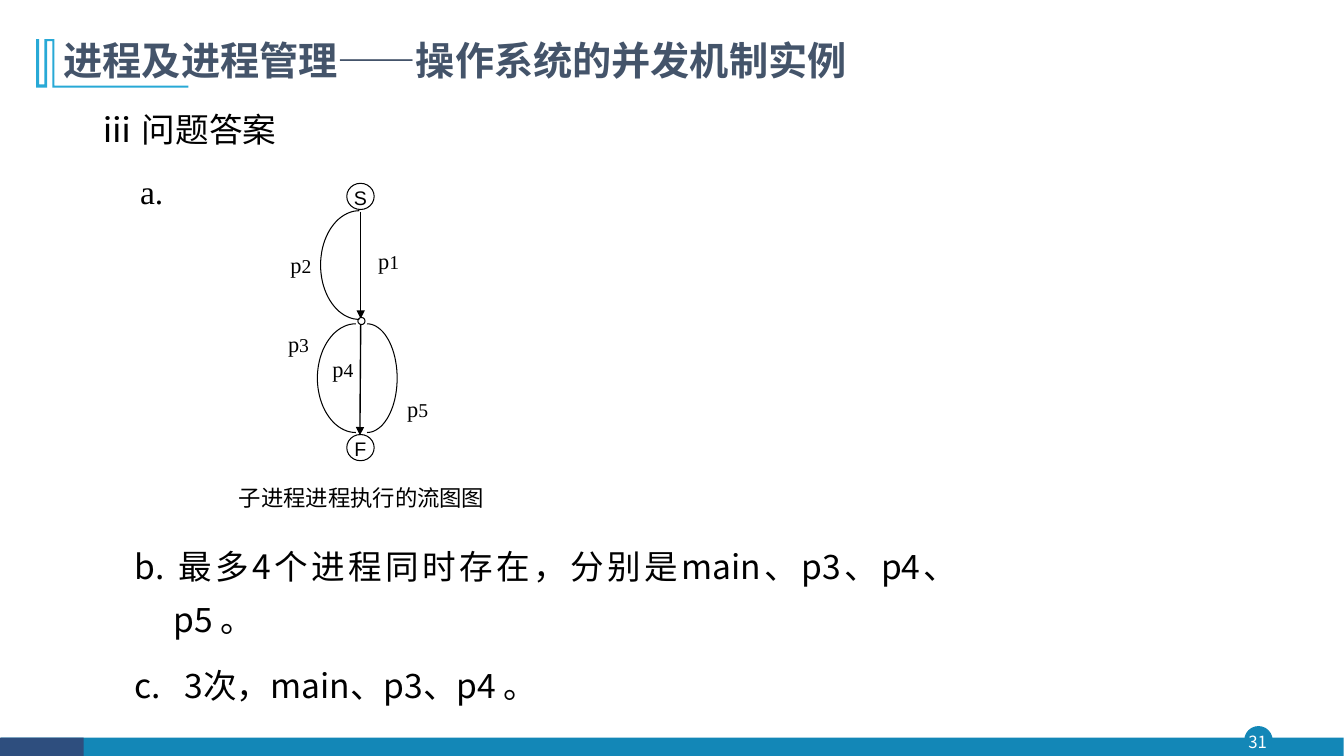
import math
from dataclasses import dataclass

from lxml import etree
from pptx import Presentation
from pptx.dml.color import RGBColor
from pptx.enum.shapes import MSO_CONNECTOR, MSO_SHAPE
from pptx.enum.text import MSO_ANCHOR, MSO_AUTO_SIZE, PP_ALIGN
from pptx.oxml.ns import qn
from pptx.util import Cm, Pt

OVAL, RECT = MSO_SHAPE.OVAL, MSO_SHAPE.RECTANGLE
STRAIGHT = MSO_CONNECTOR.STRAIGHT
TOP, MIDDLE = MSO_ANCHOR.TOP, MSO_ANCHOR.MIDDLE
LEFT, CENTER, JUSTIFY = PP_ALIGN.LEFT, PP_ALIGN.CENTER, PP_ALIGN.JUSTIFY
NO_FIT, GROW = MSO_AUTO_SIZE.NONE, MSO_AUTO_SIZE.SHAPE_TO_FIT_TEXT


@dataclass(frozen=True)
class Theme:
    sans: str = "Noto Sans CJK SC"
    serif: str = "Times New Roman"
    node_font: str = "Arial"
    title_ink: str = "44546A"
    ink: str = "000000"
    paper: str = "FFFFFF"
    bar: str = "1387B7"
    bar_end: str = "2E4E7E"
    bracket: str = "28A9D6"
    title_size: int = 28
    body_size: int = 24
    label_size: int = 16
    small_size: int = 14
    page_size: int = 12


THEME = Theme()


def box(*lengths):
    return [Cm(length) for length in lengths]


def apply_format(target, values):
    for name, value in values.items():
        setattr(target, name, value)


def add_run(paragraph, text, size, font, color=THEME.ink, bold=False):
    run = paragraph.add_run()
    run.text = text
    apply_format(run.font, {"size": Pt(size), "name": font, "bold": bold})
    run.font.color.rgb = RGBColor.from_string(color)
    east_asian = etree.SubElement(run._r.get_or_add_rPr(), qn("a:ea"))
    east_asian.set("typeface", THEME.sans)


def set_indent(paragraph, hanging):
    properties = paragraph._p.get_or_add_pPr()
    properties.set("marL", str(Cm(hanging)))
    properties.set("indent", str(-Cm(hanging)))


def remove_insets(frame):
    sides = ("margin_left", "margin_top", "margin_right", "margin_bottom")
    apply_format(frame, dict.fromkeys(sides, 0))


def add_text(slide, place, paragraphs, fit=GROW):
    """Each paragraph is (runs, hanging indent, paragraph formats)."""
    frame = slide.shapes.add_textbox(*box(*place)).text_frame
    apply_format(frame, {"word_wrap": True, "auto_size": fit, "vertical_anchor": TOP})
    for index, (runs, hanging, formats) in enumerate(paragraphs):
        paragraph = frame.add_paragraph() if index else frame.paragraphs[0]
        set_indent(paragraph, hanging)
        apply_format(paragraph, formats)
        for run in runs:
            add_run(paragraph, *run)
    return frame


def paint(shape, fill=None, line=None, width=0.75):
    shape.shadow.inherit = False
    for part, color in ((shape.fill, fill), (shape.line.fill, line)):
        if color:
            part.solid()
            part.fore_color.rgb = RGBColor.from_string(color)
        else:
            part.background()
    if line:
        shape.line.width = Pt(width)


def add_figure(slide, kind, place, fill, line=None, runs=(), formats=None):
    figure = slide.shapes.add_shape(kind, *box(*place))
    paint(figure, fill, line)
    if runs:
        remove_insets(figure.text_frame)
        figure.text_frame.vertical_anchor = TOP
        paragraph = figure.text_frame.paragraphs[0]
        apply_format(paragraph, formats)
        for run in runs:
            add_run(paragraph, *run)


def add_outline(slide, points, closed, **colors):
    points = [(Cm(x), Cm(y)) for x, y in points]
    builder = slide.shapes.build_freeform(*points[0])
    builder.add_line_segments(points[1:], close=closed)
    paint(builder.convert_to_shape(), **colors)


def add_arc(slide, center_x, center_y, reach):
    """Half an ellipse, bulging left when reach is negative."""
    half_height, steps = 1.37, 40
    angles = [math.pi * step / steps for step in range(steps + 1)]
    points = [(center_x + reach * math.sin(a), center_y - half_height * math.cos(a))
              for a in angles]
    add_outline(slide, points, False, line=THEME.ink)


def add_arrow(slide, start, end):
    arrow = slide.shapes.add_connector(STRAIGHT, *box(*start, *end))
    arrow.line.width = Pt(1)
    arrow.line.color.rgb = RGBColor.from_string(THEME.ink)
    etree.SubElement(arrow.line._get_or_add_ln(), qn("a:tailEnd")).set("type", "triangle")
    etree.SubElement(arrow._element.spPr, qn("a:effectLst"))


def add_node(slide, name, top):
    add_figure(slide, OVAL, (8.74, top, 0.69, 0.66), THEME.paper, THEME.ink,
               [(name, THEME.small_size, THEME.node_font)],
               {"alignment": CENTER, "line_spacing": 0.96})


def add_process_label(slide, number, left, top):
    add_figure(slide, RECT, (left, top, 0.94, 0.89), THEME.paper,
               runs=[("p", THEME.label_size, THEME.serif),
                     (number, THEME.small_size, THEME.serif)],
               formats={"alignment": JUSTIFY})


def add_frame(slide):
    # Footer bar and page number
    add_figure(slide, OVAL, (31.37, 18.31, 0.69, 0.69), THEME.bar, THEME.bar)
    add_figure(slide, RECT, (0.03, 18.59, 33.83, 0.48), THEME.bar)
    add_figure(slide, RECT, (0, 18.59, 2.11, 0.48), THEME.bar_end)
    page = [("31", THEME.page_size, THEME.sans, THEME.paper)]
    page_frame = add_text(slide, (31.29, 18.31, 0.81, 0.79),
                          [(page, 0, {"alignment": CENTER})], NO_FIT)
    remove_insets(page_frame)
    page_frame.vertical_anchor = MIDDLE

    # Bracket beside the title
    bracket = [(1.37, 0.99), (1.37, 2.16), (4.75, 2.16), (4.75, 2.21), (1.32, 2.21),
               (1.32, 1.04), (1.19, 1.04), (1.19, 2.21), (0.91, 2.21), (0.91, 0.99),
               (0.99, 0.99), (0.99, 2.13), (1.12, 2.13), (1.12, 0.99)]
    add_outline(slide, bracket, True, fill=THEME.bracket)


def add_title(slide, text):
    title = slide.shapes.title
    places = dict(zip(("left", "top", "width", "height"), box(1.35, 0.86, 26.64, 1.42)))
    apply_format(title, places)
    apply_format(title.text_frame, {"vertical_anchor": MIDDLE, "word_wrap": True,
                                    "auto_size": NO_FIT})
    paragraph = title.text_frame.paragraphs[0]
    apply_format(paragraph, {"alignment": LEFT, "line_spacing": 0.9})
    add_run(paragraph, text, THEME.title_size, THEME.sans, THEME.title_ink, True)


def add_answers(slide):
    size, sans, serif = THEME.body_size, THEME.sans, THEME.serif
    loose = {"line_spacing": 1.3}
    justified = {"alignment": JUSTIFY, **loose}
    add_text(slide, (3.15, 13.34, 21.23, 3.2), [
        ([("b. 最多4个进程同时存在，分别是main、p3、p4、p5 。", size, sans)], 0.97, justified),
        ([("c.\t3次，main、p3、p4 。", size, sans)], 1.25,
         {**justified, "space_before": Pt(10)}),
    ], NO_FIT)
    heading = [("ⅲ ", size, sans), ("问题答案", size, serif)]
    add_text(slide, (2.29, 2.31, 21.29, 1.57), [(heading, 1.47, loose)])
    add_text(slide, (3.28, 3.89, 2.62, 1.57), [([("a.", size, serif)], 1.57, loose)])


def add_flow_graph(slide):
    # Process names lie beneath the edges
    for number, left, top in (("1", 9.53, 6.22), ("2", 7.32, 6.32), ("3", 7.26, 8.31),
                              ("4", 8.38, 8.94), ("5", 10.26, 9.96)):
        add_process_label(slide, number, left, top)

    # Edges and nodes
    add_node(slide, "F", 10.95)
    add_arrow(slide, (9.09, 5.33), (9.09, 8.03))
    add_figure(slide, OVAL, (9.02, 8, 0.18, 0.18), THEME.paper, THEME.ink)
    add_arrow(slide, (9.09, 8.18), (9.07, 10.97))
    add_node(slide, "S", 4.62)
    for center_x, center_y, reach in ((9.06, 6.68, -0.98), (8.97, 9.53, -0.97),
                                      (9.25, 9.53, 0.76)):
        add_arc(slide, center_x, center_y, reach)

    # Caption
    caption = [("子进程进程执行的流图图", THEME.label_size, THEME.serif)]
    add_text(slide, (5.77, 11.94, 6.93, 1.07),
             [(caption, 0, {"alignment": JUSTIFY, "line_spacing": 1.2})])


def main():
    deck = Presentation()
    apply_format(deck, {"slide_width": Cm(33.87), "slide_height": Cm(19.05)})
    slide = deck.slides.add_slide(deck.slide_layouts[5])
    add_frame(slide)
    add_title(slide, "进程及进程管理——操作系统的并发机制实例")
    add_answers(slide)
    add_flow_graph(slide)
    deck.save("out.pptx")


if __name__ == "__main__":
    main()
